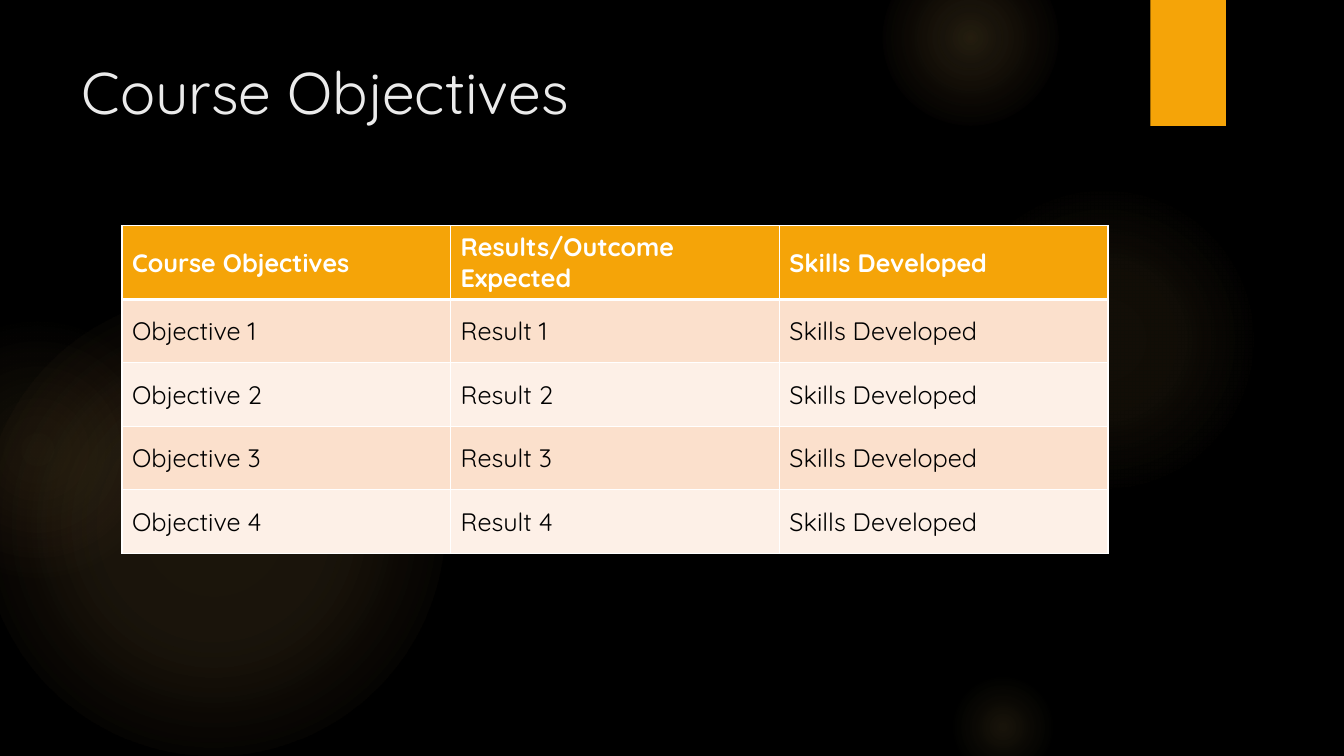
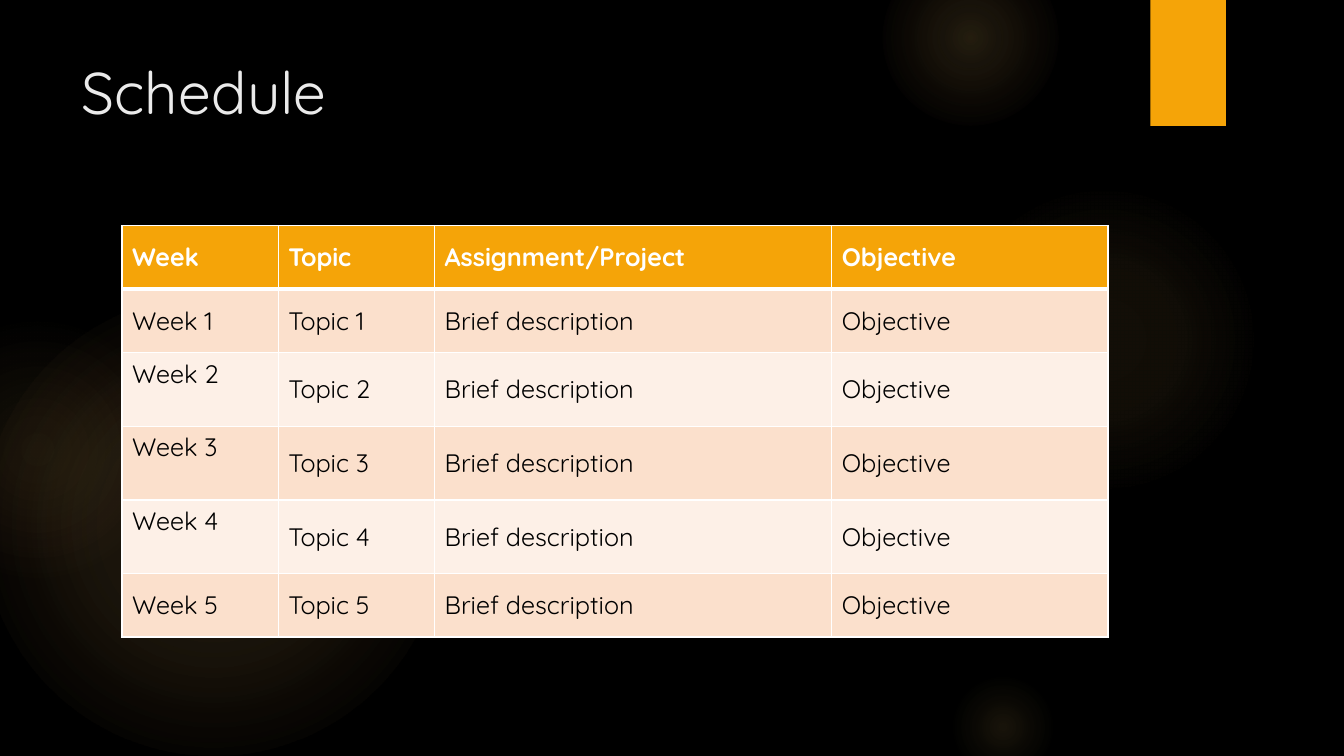
from dataclasses import dataclass

from lxml import etree
from pptx import Presentation
from pptx.dml.color import RGBColor
from pptx.enum import shapes, text
from pptx.oxml import ns, parse_xml
from pptx.shapes.autoshape import Shape
from pptx.slide import Slide
from pptx.table import _Cell as Cell
from pptx.util import Inches, Pt

BLACK = RGBColor(0x00, 0x00, 0x00)
WHITE = RGBColor(0xFF, 0xFF, 0xFF)
TITLE_GREY = RGBColor(0xEB, 0xEB, 0xEB)
ORANGE = RGBColor(0xF5, 0xA4, 0x08)
GLOW_GOLD = RGBColor(0xFA, 0xC9, 0x6A)
GLOW_CORAL = RGBColor(0xF5, 0x9B, 0x74)
BAND_FILLS = (RGBColor(0xFB, 0xE0, 0xCC), RGBColor(0xFD, 0xF0, 0xE7))

FONT = "Quicksand"
TITLE_ONLY = 5
ROW_HEIGHT = 0.63
TALL_ROW_HEIGHT = 0.73


@dataclass(frozen=True)
class Glow:
    """A soft disc; stops are (position %, opacity %) from centre to rim."""
    left: float
    top: float
    diameter: float
    stops: tuple[tuple[int, int], ...]
    rim: RGBColor = GLOW_GOLD


@dataclass(frozen=True)
class TableSlide:
    title: str
    column_widths: tuple[float, ...]
    rows: list[tuple[str, ...]]
    tall_rows: tuple[int, ...]
    top_anchored_cells: tuple[tuple[int, int], ...] = ()


GLOWS = (
    Glow(-0.17, 2.92, 4.58, ((0, 11), (36, 10), (75, 0))),
    Glow(-0.92, 3.17, 2.58, ((0, 8), (36, 5), (71, 0)), GLOW_CORAL),
    Glow(9.41, 1.83, 3.08, ((0, 7), (36, 6), (69, 0))),
    Glow(8.75, -0.5, 1.75, ((0, 14), (36, 7), (73, 0))),
    Glow(9.41, 6.67, 1.08, ((0, 10), (31, 5), (66, 0))),
)

OBJECTIVES = TableSlide(
    title="Course Objectives",
    column_widths=(3.26, 3.26, 3.26),
    rows=[("Course Objectives", "Results/Outcome Expected", "Skills Developed")]
    + [(f"Objective {n}", f"Result {n}", "Skills Developed") for n in range(1, 5)],
    tall_rows=(0,),
)
SCHEDULE = TableSlide(
    title="Schedule",
    column_widths=(1.55, 1.55, 3.94, 2.74),
    rows=[("Week", "Topic", "Assignment/Project", "Objective")]
    + [(f"Week {n}", f"Topic {n}", "Brief description", "Objective")
       for n in range(1, 6)],
    tall_rows=(2, 3, 4),
    top_anchored_cells=((2, 0), (3, 0), (4, 0)),
)


def add_plain_shape(slide: Slide, preset: shapes.MSO_SHAPE, left: float,
                    top: float, width: float, height: float) -> Shape:
    shape = slide.shapes.add_shape(
        preset, Inches(left), Inches(top), Inches(width), Inches(height))
    shape.shadow.inherit = False
    shape.line.fill.background()
    return shape


def add_glow(slide: Slide, glow: Glow) -> None:
    disc = add_plain_shape(slide, shapes.MSO_SHAPE.OVAL, glow.left, glow.top,
                           glow.diameter, glow.diameter)
    colors = (GLOW_GOLD, GLOW_GOLD, glow.rim)
    stops = "".join(
        f'<a:gs pos="{position * 1000}"><a:srgbClr val="{color}">'
        f'<a:alpha val="{opacity * 1000}"/></a:srgbClr></a:gs>'
        for (position, opacity), color in zip(glow.stops, colors))
    gradient = parse_xml(
        f'<a:gradFill {ns.nsdecls("a")} rotWithShape="1"><a:gsLst>{stops}</a:gsLst>'
        '<a:path path="circle"><a:fillToRect l="50000" t="50000" r="50000" '
        'b="50000"/></a:path></a:gradFill>')
    disc.element.spPr.find(ns.qn("a:prstGeom")).addnext(gradient)


def add_backdrop(slide: Slide) -> None:
    for glow in GLOWS:
        add_glow(slide, glow)
    ribbon = add_plain_shape(slide, shapes.MSO_SHAPE.RECTANGLE, 11.41, 0, 0.75, 1.25)
    ribbon.fill.solid()
    ribbon.fill.fore_color.rgb = ORANGE


def style_runs(frame: text.MSO_ANCHOR, size: int, color: RGBColor,
               bold: bool = False) -> None:
    for paragraph in frame.paragraphs:
        paragraph.alignment = text.PP_ALIGN.LEFT
        for run in paragraph.runs:
            run.font.name = FONT
            run.font.size = Pt(size)
            run.font.bold = bold
            run.font.color.rgb = color


def set_title(slide: Slide, wording: str) -> None:
    title = slide.shapes.title
    title.left, title.top = Inches(0.71), Inches(0.5)
    title.width, title.height = Inches(10.29), Inches(1.53)
    frame = title.text_frame
    frame.text = wording
    frame.word_wrap = True
    frame.auto_size = text.MSO_AUTO_SIZE.NONE
    frame.vertical_anchor = text.MSO_ANCHOR.TOP
    style_runs(frame, 42, TITLE_GREY)


def set_borders(cell: Cell, top: int, bottom: int) -> None:
    """Give white borders, 1 pt at the sides; call before the cell is filled."""
    properties = cell._tc.get_or_add_tcPr()
    for side, points in (("L", 1), ("R", 1), ("T", top), ("B", bottom)):
        line = etree.SubElement(properties, ns.qn(f"a:ln{side}"), w=str(Pt(points)))
        fill = etree.SubElement(line, ns.qn("a:solidFill"))
        etree.SubElement(fill, ns.qn("a:srgbClr"), val=str(WHITE))


def add_content_table(slide: Slide, content: TableSlide) -> None:
    heights = [TALL_ROW_HEIGHT if index in content.tall_rows else ROW_HEIGHT
               for index in range(len(content.rows))]
    table = slide.shapes.add_table(
        len(content.rows), len(content.column_widths), Inches(1.21), Inches(2.24),
        Inches(sum(content.column_widths)), Inches(sum(heights))).table
    table.horz_banding = False
    for column, width in zip(table.columns, content.column_widths):
        column.width = Inches(width)
    for row_index, (wordings, height) in enumerate(zip(content.rows, heights)):
        table.rows[row_index].height = Inches(height)
        is_header = row_index == 0
        for column_index, wording in enumerate(wordings):
            cell = table.cell(row_index, column_index)
            set_borders(cell, top=3 if row_index == 1 else 1,
                        bottom=3 if is_header else 1)
            cell.fill.solid()
            cell.fill.fore_color.rgb = (
                ORANGE if is_header else BAND_FILLS[(row_index - 1) % 2])
            at_top = (row_index, column_index) in content.top_anchored_cells
            cell.vertical_anchor = (
                text.MSO_ANCHOR.TOP if at_top else text.MSO_ANCHOR.MIDDLE)
            cell.text_frame.text = wording
            style_runs(cell.text_frame, 18, WHITE if is_header else BLACK, is_header)


def main() -> None:
    deck = Presentation()
    deck.slide_width, deck.slide_height = Inches(13.33), Inches(7.5)
    background = deck.slide_master.background.fill
    background.solid()
    background.fore_color.rgb = BLACK
    for content in (OBJECTIVES, SCHEDULE):
        slide = deck.slides.add_slide(deck.slide_layouts[TITLE_ONLY])
        add_backdrop(slide)
        set_title(slide, content.title)
        add_content_table(slide, content)
    deck.save("out.pptx")


if __name__ == "__main__":
    main()
